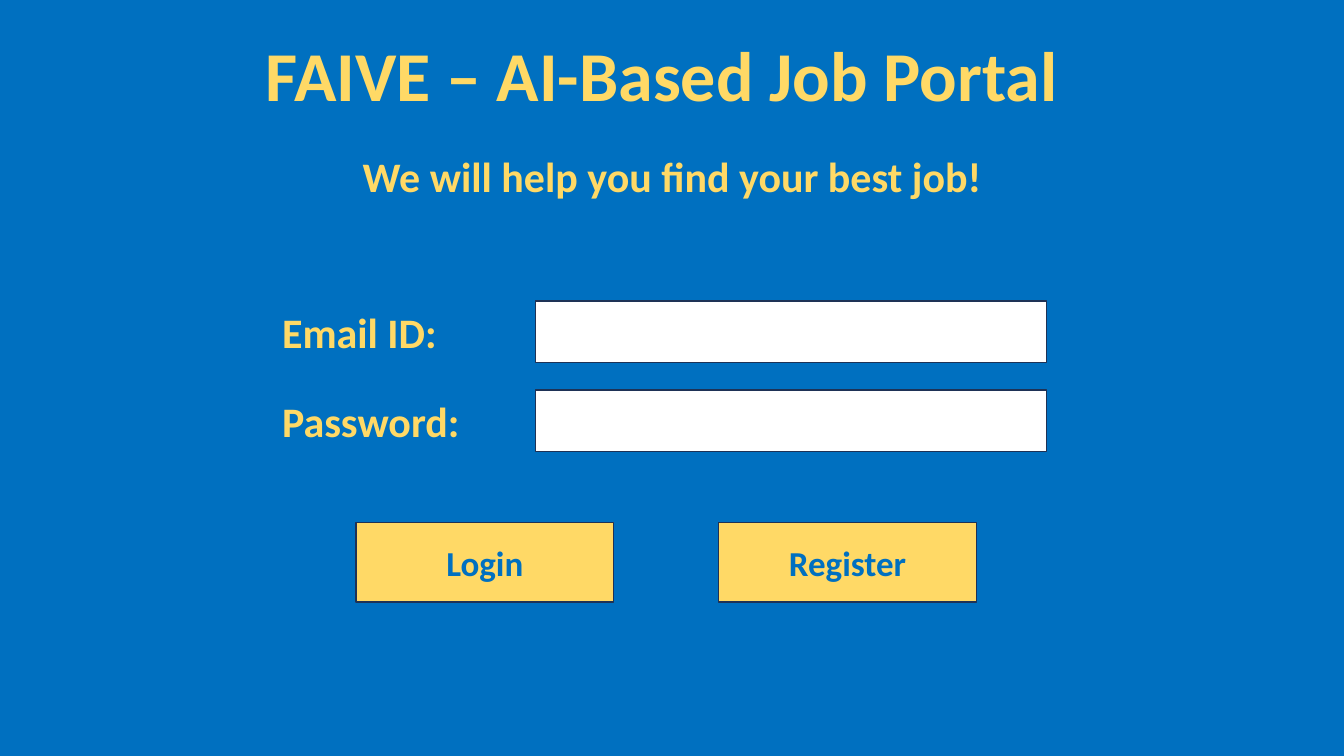
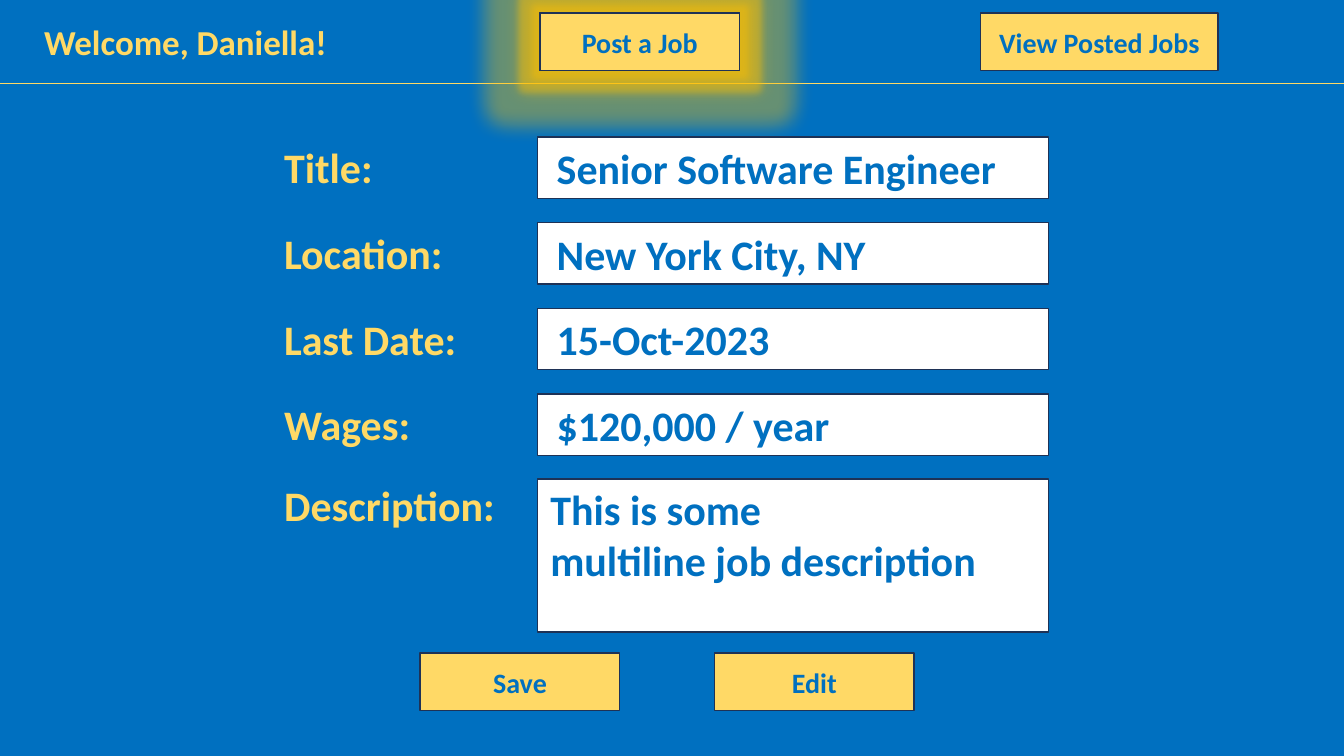
from dataclasses import dataclass

from pptx import Presentation
from pptx import util as u
from pptx.dml.color import RGBColor
from pptx.enum import shapes, text
from pptx.oxml import ns
from lxml import etree


@dataclass(frozen=True)
class Theme:
    font: str = "Calibri"
    blue: RGBColor = RGBColor(0x00, 0x70, 0xC0)
    yellow: RGBColor = RGBColor(0xFF, 0xD9, 0x66)
    white: RGBColor = RGBColor(0xFF, 0xFF, 0xFF)
    outline: RGBColor = RGBColor(0x1E, 0x32, 0x56)
    glow: str = "FFC000"
    glow_alpha: int = 40000
    title_size: int = 50
    form_size: int = 30
    heading_size: int = 25
    button_size: int = 20


SLIDE_WIDTH, SLIDE_HEIGHT = 33.87, 19.05
LABEL_WIDTH, LABEL_TO_FIELD = 6.4, 6.64
FIELD_WIDTH, ROW_HEIGHT = 12.88, 1.55
BUTTON_WIDTH, BUTTON_HEIGHT = 5.03, 1.45


class Screen:
    def __init__(self, presentation, theme):
        self.presentation = presentation
        self.theme = theme
        self.slide = None

    def new_slide(self):
        layout = self.presentation.slide_layouts[6]
        self.slide = self.presentation.slides.add_slide(layout)
        fill = self.slide.background.fill
        fill.solid()
        fill.fore_color.rgb = self.theme.blue

    def set_text(self, shape, lines, size, color, align):
        frame = shape.text_frame
        frame.word_wrap = True
        frame.text = lines
        for paragraph in frame.paragraphs:
            paragraph.alignment = align
            font = paragraph.font
            font.name = self.theme.font
            font.size = u.Pt(size)
            font.bold = True
            font.color.rgb = color

    def label(self, words, left, top, width, height, size, align=text.PP_ALIGN.LEFT):
        box = self.slide.shapes.add_textbox(
            u.Cm(left), u.Cm(top), u.Cm(width), u.Cm(height))
        self.set_text(box, words, size, self.theme.yellow, align)

    def panel(self, left, top, width, height, color):
        shape = self.slide.shapes.add_shape(
            shapes.MSO_SHAPE.RECTANGLE, u.Cm(left), u.Cm(top), u.Cm(width), u.Cm(height))
        shape.shadow.inherit = False
        shape.fill.solid()
        shape.fill.fore_color.rgb = color
        shape.line.color.rgb = self.theme.outline
        shape.line.width = u.Pt(1)
        return shape

    def field(self, words, left, top, height=ROW_HEIGHT, inset=0.48,
              anchor=text.MSO_ANCHOR.MIDDLE):
        shape = self.panel(left, top, FIELD_WIDTH, height, self.theme.white)
        if words:
            shape.text_frame.margin_left = u.Cm(inset)
            shape.text_frame.vertical_anchor = anchor
            self.set_text(shape, words, self.theme.form_size, self.theme.blue,
                          text.PP_ALIGN.LEFT)

    def form_label(self, words, left, top):
        self.label(words, left, top, LABEL_WIDTH, ROW_HEIGHT, self.theme.form_size)

    def form(self, rows, left, top, pitch):
        for index, (name, value) in enumerate(rows):
            row_top = top + index * pitch
            self.form_label(name, left, row_top)
            self.field(value, left + LABEL_TO_FIELD, row_top)

    def button(self, words, left, top, width=BUTTON_WIDTH, height=BUTTON_HEIGHT, size=None):
        shape = self.panel(left, top, width, height, self.theme.yellow)
        self.set_text(shape, words, size or self.theme.button_size, self.theme.blue,
                      text.PP_ALIGN.CENTER)

    def halo(self, left, top, width, height, radius):
        shape = self.panel(left, top, width, height, self.theme.yellow)
        effects = shape._element.spPr.find(ns.qn("a:effectLst"))
        glow = etree.SubElement(effects, ns.qn("a:glow"), rad=str(u.Pt(radius)))
        color = etree.SubElement(glow, ns.qn("a:srgbClr"), val=self.theme.glow)
        etree.SubElement(color, ns.qn("a:alpha"), val=str(self.theme.glow_alpha))

    def divider(self, top):
        line = self.slide.shapes.add_connector(
            shapes.MSO_CONNECTOR.STRAIGHT, 0, u.Cm(top), u.Cm(SLIDE_WIDTH), u.Cm(top))
        line.line.color.rgb = self.theme.yellow
        line.line.width = u.Pt(0.5)
        etree.SubElement(line._element.spPr, ns.qn("a:effectLst"))


def login_slide(screen):
    theme = screen.theme
    screen.new_slide()
    screen.label("FAIVE – AI-Based Job Portal", 6.45, 0.66, 20.93, 2.39, theme.title_size)
    screen.label("We will help you find your best job!", 8.79, 3.66, 16.31, ROW_HEIGHT,
                 theme.form_size, text.PP_ALIGN.CENTER)
    screen.form([("Email ID:", ""), ("Password:", "")], left=6.86, top=7.59, pitch=2.24)
    for words, left in (("Login", 8.97), ("Register", 18.11)):
        screen.button(words, left, 13.16, 6.5, 2.01, theme.heading_size)


def post_job_slide(screen):
    theme = screen.theme
    form_left = 6.91
    menu_top, post_left = 0.33, 13.61
    screen.new_slide()
    screen.divider(2.11)
    screen.label("Welcome, Daniella!", 0.86, 0.38, 7.9, 1.32, theme.heading_size)
    for radius in (27, 10):
        screen.halo(post_left, menu_top, BUTTON_WIDTH, BUTTON_HEIGHT, radius)
    screen.button("Post a Job", post_left, menu_top)
    screen.button("View Posted Jobs", 24.71, menu_top, width=5.99)
    screen.form([
        ("Title:", "Senior Software Engineer"),
        ("Location:", "New York City, NY"),
        ("Last Date:", "15-Oct-2023"),
        ("Wages:", "$120,000 / year"),
    ], form_left, top=3.45, pitch=2.16)
    screen.form_label("Description:", form_left, 11.96)
    screen.field("This is some\nmultiline job description", form_left + LABEL_TO_FIELD,
                 12.07, height=3.86, inset=0.32, anchor=text.MSO_ANCHOR.TOP)
    for words, left in (("Save", 10.59), ("Edit", 18.01)):
        screen.button(words, left, 16.46)


def main():
    presentation = Presentation()
    presentation.slide_width = u.Cm(SLIDE_WIDTH)
    presentation.slide_height = u.Cm(SLIDE_HEIGHT)
    screen = Screen(presentation, Theme())
    login_slide(screen)
    post_job_slide(screen)
    presentation.save("out.pptx")


if __name__ == "__main__":
    main()
